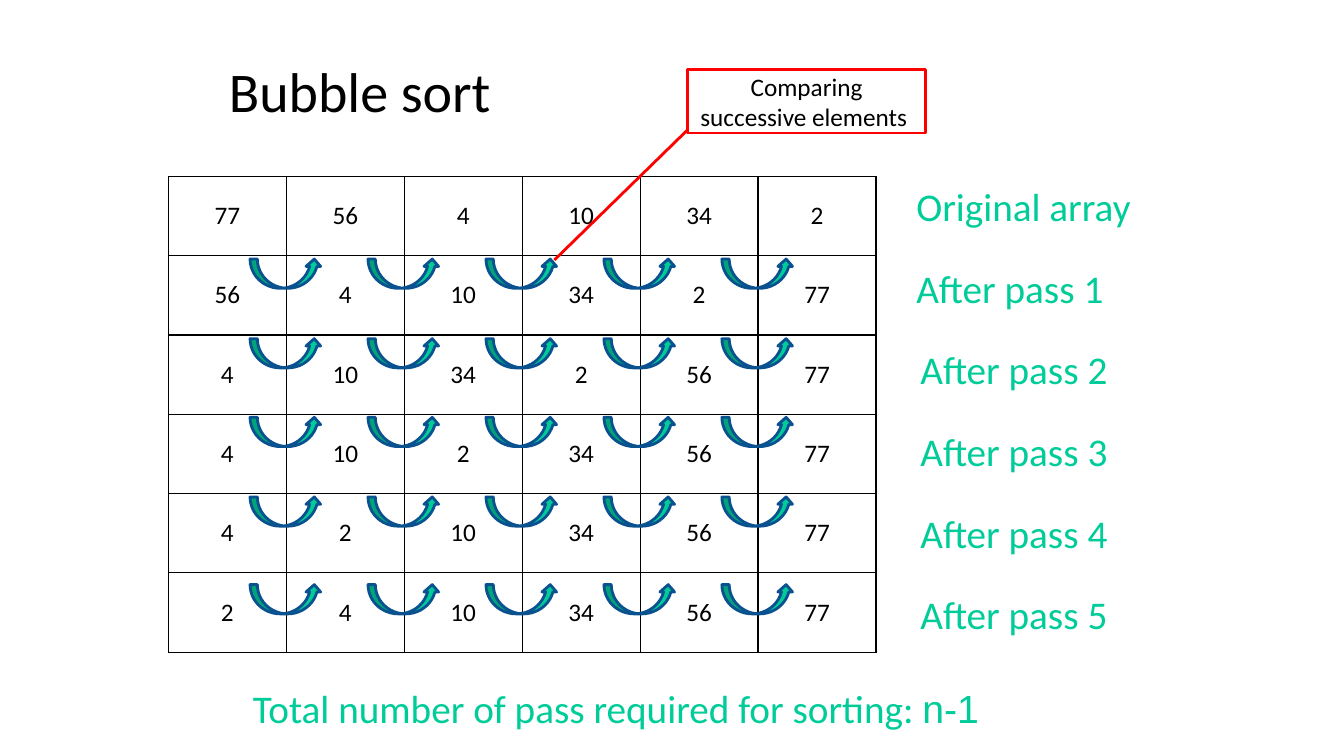
from dataclasses import dataclass

import pptx
import pptx.dml.color
import pptx.enum.shapes
import pptx.enum.text
import pptx.oxml
import pptx.oxml.ns
import pptx.util

Inches, Pt = pptx.util.Inches, pptx.util.Pt
ALIGN, ANCHOR = pptx.enum.text.PP_ALIGN, pptx.enum.text.MSO_ANCHOR
SHAPE = pptx.enum.shapes.MSO_SHAPE

BLACK, GREEN, BLUE, RED = "000000", "00CC99", "0A5190", "FF0000"
ARRAY = [77, 56, 4, 10, 34, 2]
SIZE = len(ARRAY)
LEFT, TOP, WIDTH, HEIGHT = 1.67, 1.75, 7.02, 4.72
COL = WIDTH / SIZE
ARROW_TOPS = [2.57, 3.36, 4.14, 4.93, 5.8]


@dataclass
class Box:
    left: float
    top: float
    width: float
    height: float

    def place(self) -> list[int]:
        return [Inches(v) for v in (self.left, self.top, self.width, self.height)]


@dataclass
class Label:
    box: Box
    runs: list[tuple[str, str]]


def color(code: str) -> pptx.dml.color.RGBColor:
    return pptx.dml.color.RGBColor.from_string(code)


def add_run(para, text: str, size: float, code: str, face: str = "Calibri") -> None:
    run = para.add_run()
    run.text = text
    for name, value in {"name": face, "size": Pt(size), "bold": False}.items():
        setattr(run.font, name, value)
    run.font.color.rgb = color(code)


def add_label(slide, label: Label) -> None:
    frame = slide.shapes.add_textbox(*label.box.place()).text_frame
    frame.word_wrap = True
    for text, face in label.runs:
        add_run(frame.paragraphs[0], text, 28, GREEN, face)


def add_shape(slide, kind, box: Box, line: str, fill: str | None = None):
    shape = slide.shapes.add_shape(kind, *box.place())
    shape.shadow.inherit = False
    if fill:
        shape.fill.solid()
        shape.fill.fore_color.rgb = color(fill)
    else:
        shape.fill.background()
    shape.line.color.rgb = color(line)
    shape.line.width = Pt(2)
    return shape


def sort_rows(items: list[int]) -> list[list[int]]:
    """List the array at the start and after each pass."""
    rows = [items]
    for _ in range(len(items) - 1):
        row = list(rows[-1])
        for i in range(len(row) - 1):
            if row[i] > row[i + 1]:
                row[i], row[i + 1] = row[i + 1], row[i]
        rows.append(row)
    return rows


def fill_cell(cell, text: str) -> None:
    cell.fill.background()
    cell.vertical_anchor = ANCHOR.MIDDLE
    para = cell.text_frame.paragraphs[0]
    para.alignment = ALIGN.CENTER
    add_run(para, text, 18, BLACK)
    # Borders come before the fill in the cell properties
    props = cell._tc.get_or_add_tcPr()
    for i, side in enumerate(("lnL", "lnR", "lnT", "lnB")):
        props.insert(i, pptx.oxml.parse_xml(
            f'<a:{side} {pptx.oxml.ns.nsdecls("a")} w="12700"><a:solidFill>'
            f'<a:srgbClr val="{BLACK}"/></a:solidFill></a:{side}>'))


def add_grid(slide, rows: list[list[int]]) -> None:
    box = Box(LEFT, TOP, WIDTH, HEIGHT)
    table = slide.shapes.add_table(len(rows), SIZE, *box.place()).table
    for name in ("first_row", "horz_banding"):
        setattr(table, name, False)
    for r, row in enumerate(rows):
        for c, value in enumerate(row):
            fill_cell(table.cell(r, c), str(value))


def main() -> None:
    deck = pptx.Presentation()
    deck.slide_width, deck.slide_height = Inches(13.33), Inches(7.5)
    slide = deck.slides.add_slide(deck.slide_layouts[5])

    # Title
    title = slide.shapes.title
    title.left, title.top, title.width, title.height = Box(2.17, 0.3, 9, 1.25).place()
    title.text_frame.vertical_anchor = ANCHOR.MIDDLE
    head = title.text_frame.paragraphs[0]
    head.alignment, head.line_spacing = ALIGN.LEFT, 0.97
    add_run(head, "Bubble sort", 40, BLACK)

    # Row labels and the total
    names = ["Original array"] + [f"After pass {n}" for n in range(1, SIZE)]
    labels = [
        Label(Box(8.99 if i < 2 else 9.03, 1.76 + 0.81 * i, 2.48, 0.57), [(name, "Calibri")])
        for i, name in enumerate(names)
    ]
    labels.append(Label(Box(2.41, 6.74, 7.64, 0.57), [
        ("Total number of pass required for sorting: ", "Calibri"), ("n-1", "Arial")]))
    for label in labels:
        add_label(slide, label)

    # Array after each pass
    add_grid(slide, sort_rows(ARRAY))

    # Arrows between neighbours
    for top in ARROW_TOPS:
        for i in range(SIZE - 1):
            box = Box(2.48 + COL * i, top, 0.71, 0.29)
            add_shape(slide, SHAPE.CURVED_UP_ARROW, box, BLUE, GREEN)

    # Callout, its line ending at the third arrow
    note = add_shape(slide, SHAPE.LINE_CALLOUT_1, Box(6.82, 0.69, 2.36, 0.63), RED)
    for i, value in enumerate((0.95, 0, 3, -0.56)):
        note.adjustments[i] = value
    frame = note.text_frame
    frame.word_wrap, frame.vertical_anchor = True, ANCHOR.MIDDLE
    frame.paragraphs[0].alignment = ALIGN.CENTER
    add_run(frame.paragraphs[0], "Comparing successive elements ", 18, BLACK)

    deck.save("out.pptx")


if __name__ == "__main__":
    main()
